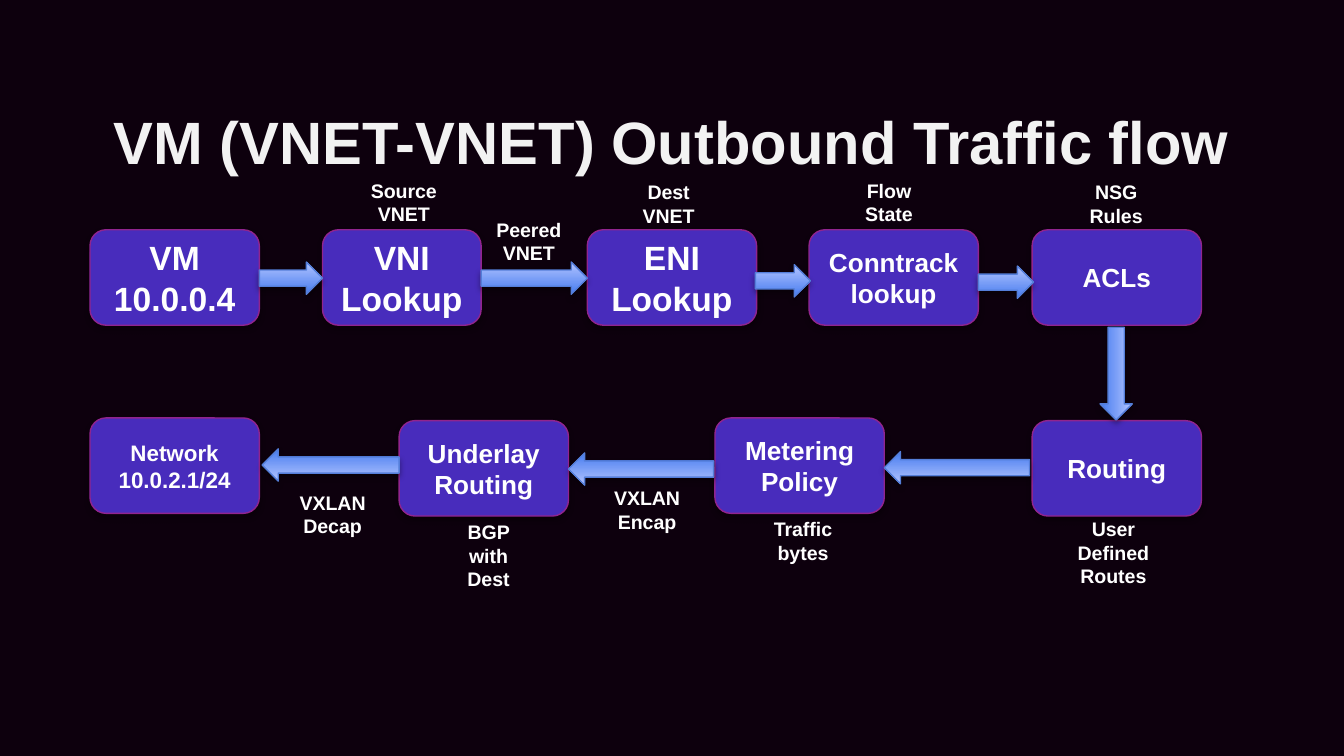
from typing import NamedTuple

from lxml.etree import SubElement
from pptx import Presentation
from pptx.dml.color import RGBColor
from pptx.enum.shapes import MSO_SHAPE
from pptx.enum.text import MSO_ANCHOR, MSO_AUTO_SIZE, PP_ALIGN
from pptx.oxml.ns import qn
from pptx.shapes.autoshape import Shape
from pptx.slide import Slide
from pptx.text.text import TextFrame
from pptx.util import Emu, Pt

PX = 9144
SLIDE_WIDTH = 1000
FONT = "Arial"
BACKGROUND = RGBColor(0x0D, 0x00, 0x0D)
TITLE_COLOR = RGBColor(0xF2, 0xF2, 0xF2)
WHITE = RGBColor(0xFF, 0xFF, 0xFF)
NODE_FILL = RGBColor(0x48, 0x2C, 0xBC)
NODE_LINE = RGBColor(0x91, 0x24, 0x8E)
ARROW_DARK = RGBColor(0x45, 0x7B, 0xEF)
ARROW_LIGHT = RGBColor(0xB3, 0xC4, 0xFF)
ARROW_LINE = RGBColor(0x54, 0x7E, 0xD9)
NODE_HEIGHT = 71
ARROW_HEIGHT = 24
TOP_ROW = 171


class Node(NamedTuple):
    text: str
    left: int
    top: int
    size: int
    width: int = 126


class Arrow(NamedTuple):
    left: int
    top: int
    width: int
    rotation: int = 0


class Label(NamedTuple):
    text: str
    left: int
    top: int
    width: int = 71
    height: int = 45


NODES = [
    Node("VM\v10.0.0.4", 67, TOP_ROW, 18),
    Node("VNI Lookup", 240, TOP_ROW, 18, width=118),
    Node("ENI Lookup", 437, TOP_ROW, 18),
    Node("Conntrack lookup", 602, TOP_ROW, 14),
    Node("ACLs", 768, TOP_ROW, 14),
    Node("Routing", 768, 313, 14),
    Node("Metering Policy", 532, 311, 14),
    Node("Underlay Routing", 297, 313, 14),
    Node("Network\v10.0.2.1/24", 67, 311, 12),
]

ARROWS = [
    Arrow(193, 195, 47),
    Arrow(358, 195, 79),
    Arrow(562, 197, 41),
    Arrow(728, 198, 41),
    Arrow(796, 266, 69, rotation=90),
    Arrow(658, 336, 108, rotation=180),
    Arrow(423, 337, 108, rotation=180),
    Arrow(195, 334, 102, rotation=180),
]

LABELS = [
    Label("Source VNET", 265, 128),
    Label("Peered VNET", 358, 157),
    Label("Dest VNET", 462, 129),
    Label("Flow State", 626, 128),
    Label("NSG Rules", 795, 129),
    Label("User Defined Routes", 787, 380, width=83, height=63),
    Label("Traffic bytes", 562, 380),
    Label("VXLAN Encap", 446, 357),
    Label("BGP with Dest", 328, 382, height=63),
    Label("VXLAN Decap", 212, 360),
]


def px(*lengths: int) -> list[Emu]:
    return [Emu(length * PX) for length in lengths]


def write_text(
    frame: TextFrame,
    text: str,
    *,
    size: float,
    color: RGBColor = WHITE,
    anchor: MSO_ANCHOR = MSO_ANCHOR.MIDDLE,
    fit: MSO_AUTO_SIZE = MSO_AUTO_SIZE.NONE,
) -> None:
    frame.word_wrap = True
    frame.auto_size = fit
    frame.vertical_anchor = anchor
    para = frame.paragraphs[0]
    para.text = text
    para.alignment = PP_ALIGN.CENTER
    for span in para.runs:
        span.font.name = FONT
        span.font.size = Pt(size)
        span.font.bold = True
        span.font.color.rgb = color


def outline_with_shadow(shape: Shape, color: RGBColor) -> None:
    shape.line.color.rgb = color
    shape.line.width = Pt(0.75)
    shape.shadow.inherit = False
    effects = shape.element.spPr.find(qn("a:effectLst"))
    shadow = SubElement(
        effects, qn("a:outerShdw"), blurRad=str(Pt(3.1)), dist=str(Pt(1.8)),
        dir="5400000", rotWithShape="0",
    )
    black = SubElement(shadow, qn("a:srgbClr"), val="000000")
    SubElement(black, qn("a:alpha"), val="35000")


def draw_node(page: Slide, node: Node) -> None:
    box = page.shapes.add_shape(
        MSO_SHAPE.ROUNDED_RECTANGLE, *px(node.left, node.top, node.width, NODE_HEIGHT)
    )
    box.fill.solid()
    box.fill.fore_color.rgb = NODE_FILL
    outline_with_shadow(box, NODE_LINE)
    write_text(box.text_frame, node.text, size=node.size)


def draw_arrow(page: Slide, arrow: Arrow) -> None:
    shape = page.shapes.add_shape(
        MSO_SHAPE.RIGHT_ARROW, *px(arrow.left, arrow.top, arrow.width, ARROW_HEIGHT)
    )
    shape.rotation = arrow.rotation
    shape.fill.gradient()
    shape.fill.gradient_angle = 90
    for stop, color in zip(shape.fill.gradient_stops, (ARROW_DARK, ARROW_LIGHT)):
        stop.color.rgb = color
    outline_with_shadow(shape, ARROW_LINE)


def draw_label(page: Slide, label: Label) -> None:
    box = page.shapes.add_textbox(*px(label.left, label.top, label.width, label.height))
    write_text(
        box.text_frame, label.text, size=10.5,
        anchor=MSO_ANCHOR.TOP, fit=MSO_AUTO_SIZE.SHAPE_TO_FIT_TEXT,
    )


def main() -> None:
    deck = Presentation()
    deck.slide_width = Emu(SLIDE_WIDTH * PX)
    deck.slide_height = Emu(SLIDE_WIDTH * PX * 9 // 16)
    page = deck.slides.add_slide(deck.slide_layouts[5])
    page.background.fill.solid()
    page.background.fill.fore_color.rgb = BACKGROUND

    title = page.shapes.title
    title.left, title.top, title.width, title.height = px(50, 55, 900, 100)
    write_text(
        title.text_frame, "VM (VNET-VNET) Outbound Traffic flow",
        size=32, color=TITLE_COLOR,
    )

    for node in NODES:
        draw_node(page, node)
    for arrow in ARROWS:
        draw_arrow(page, arrow)
    for label in LABELS:
        draw_label(page, label)

    deck.save("out.pptx")


if __name__ == "__main__":
    main()
